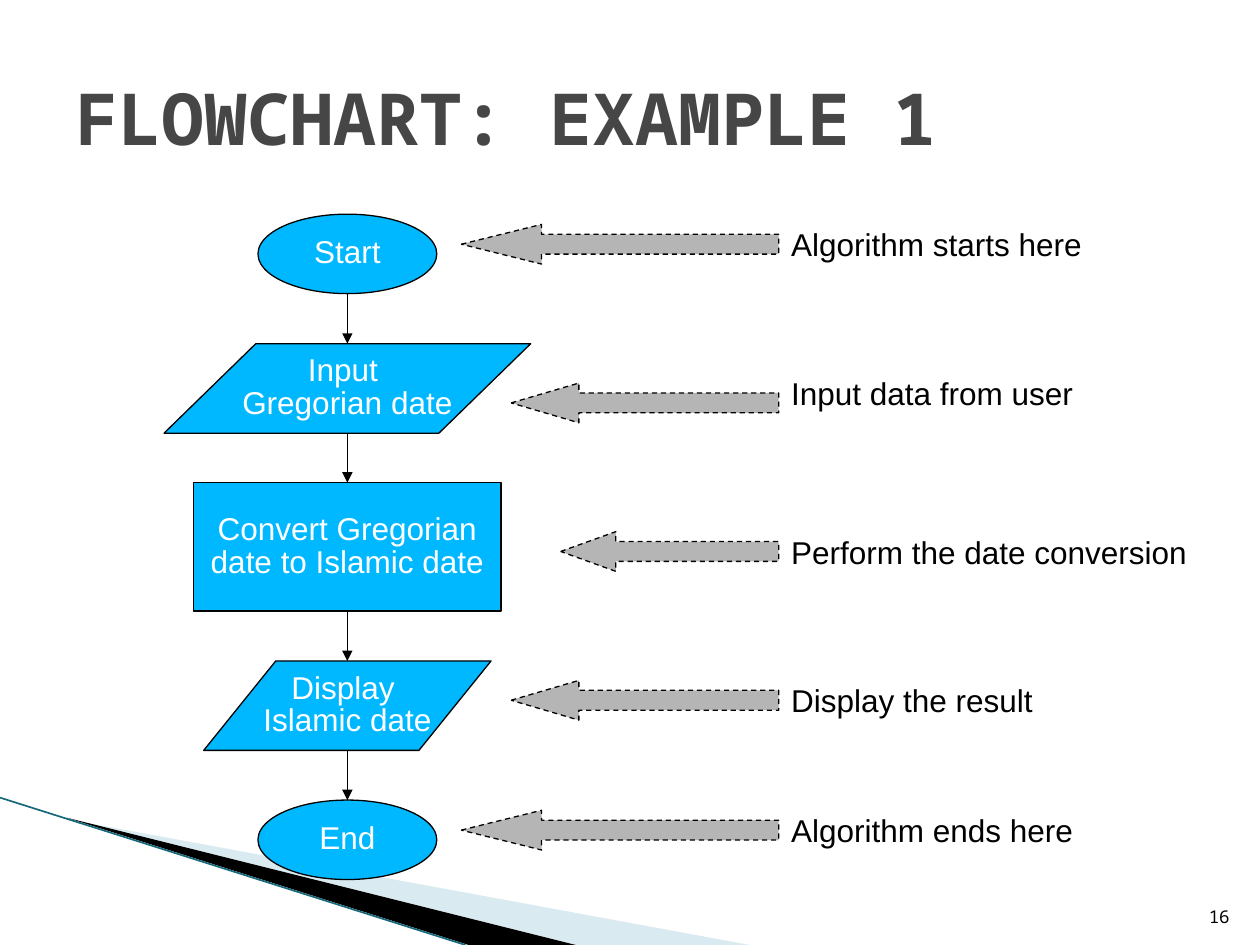
from dataclasses import dataclass
from itertools import pairwise

from lxml import etree
from pptx import Presentation
from pptx.dml.color import RGBColor
from pptx.enum.dml import MSO_LINE
from pptx.enum.shapes import MSO_CONNECTOR, MSO_SHAPE
from pptx.enum.text import MSO_ANCHOR, MSO_AUTO_SIZE, PP_ALIGN
from pptx.oxml.ns import qn
from pptx.util import Pt

BLACK = RGBColor(0x00, 0x00, 0x00)
WHITE = RGBColor(0xFF, 0xFF, 0xFF)
BLUE = RGBColor(0x00, 0xB8, 0xFF)
GRAY = RGBColor(0xB5, 0xB5, 0xB5)
TITLE_GRAY = RGBColor(0x46, 0x46, 0x46)
PALE_BLUE = RGBColor(0xA0, 0xCB, 0xDC)
TEAL = RGBColor(0x16, 0x69, 0x7A)
BODY_FONT = "Arial"
MONO_FONT = "Noto Sans Mono"
FLOW_CENTER = 198.5
ARROW_RIGHT = 445
ARROW_HEIGHT = 22.7
HEAD_SHARE = 0.253


@dataclass
class Step:
    kind: MSO_SHAPE
    text: str
    top: float
    width: float
    height: float
    slant: float | None = None


@dataclass
class Note:
    text: str
    label_top: float
    arrow_top: float
    arrow_length: float
    label_width: float = 184


STEPS = [
    Step(MSO_SHAPE.OVAL, "Start", 122.4, 102.2, 45.4),
    Step(MSO_SHAPE.PARALLELOGRAM, "Input \nGregorian date", 196.4, 209.5, 51.1, 1.026),
    Step(MSO_SHAPE.RECTANGLE, "Convert Gregorian\ndate to Islamic date", 275.8, 175.7, 73.4),
    Step(MSO_SHAPE.PARALLELOGRAM, "Display \nIslamic date", 377.7, 164.2, 51.1, 0.806),
    Step(MSO_SHAPE.OVAL, "End", 457.2, 102.2, 45.4),
]

NOTES = [
    Note("Algorithm starts here", 128.2, 128.2, 181.4),
    Note("Input data from user", 213.1, 218.9, 152.9),
    Note("Perform the date conversion", 303.8, 303.8, 124.6, 254.9),
    Note("Display the result", 388.8, 388.8, 152.9),
    Note("Algorithm ends here", 463, 463, 181.4),
]


def style_text(frame, text: str, size: float, font: str, color: RGBColor,
               align: PP_ALIGN, spacing: float | None = None, bold: bool = False) -> None:
    frame.text = text
    for paragraph in frame.paragraphs:
        paragraph.alignment = align
        paragraph.line_spacing = spacing
        for run in paragraph.runs:
            run.font.size = Pt(size)
            run.font.name = font
            run.font.bold = bold
            run.font.color.rgb = color


def style_shape(shape, fill: RGBColor) -> None:
    shape.shadow.inherit = False
    shape.fill.solid()
    shape.fill.fore_color.rgb = fill
    shape.line.color.rgb = BLACK
    shape.line.width = Pt(0.75)


def add_wedge(slide, points: list[tuple[float, float]], color: RGBColor,
              alpha: int | None = None) -> None:
    corners = [(Pt(x), Pt(y)) for x, y in points]
    builder = slide.shapes.build_freeform(*corners[0])
    builder.add_line_segments(corners[1:], close=True)
    wedge = builder.convert_to_shape()
    style_shape(wedge, color)
    wedge.line.fill.background()
    if alpha is not None:
        fill_color = wedge.fill._xPr.find(qn("a:solidFill"))[0]
        etree.SubElement(fill_color, qn("a:alpha"), val=str(alpha * 1000))


def add_line(slide, start: tuple[float, float], end: tuple[float, float],
             color: RGBColor, width: float, arrow: bool = False) -> None:
    line = slide.shapes.add_connector(
        MSO_CONNECTOR.STRAIGHT, *(Pt(value) for value in start + end))
    line.line.color.rgb = color
    line.line.width = Pt(width)
    if arrow:
        etree.SubElement(line.line._get_or_add_ln(), qn("a:tailEnd"), type="triangle")
    etree.SubElement(line._element.spPr, qn("a:effectLst"))


def add_step(slide, step: Step) -> None:
    shape = slide.shapes.add_shape(
        step.kind, Pt(FLOW_CENTER - step.width / 2), Pt(step.top),
        Pt(step.width), Pt(step.height))
    if step.slant is not None:
        shape.adjustments[0] = step.slant
    style_shape(shape, BLUE)
    frame = shape.text_frame
    frame.word_wrap = False
    frame.vertical_anchor = MSO_ANCHOR.MIDDLE
    style_text(frame, step.text, 18, BODY_FONT, WHITE, PP_ALIGN.CENTER, 0.87)


def add_note(slide, note: Note) -> None:
    group = slide.shapes.add_group_shape()
    label = group.shapes.add_textbox(
        Pt(ARROW_RIGHT), Pt(note.label_top), Pt(note.label_width), Pt(26))
    label.text_frame.word_wrap = True
    label.text_frame.auto_size = MSO_AUTO_SIZE.SHAPE_TO_FIT_TEXT
    style_text(label.text_frame, note.text, 18, BODY_FONT, BLACK, PP_ALIGN.LEFT, 0.87)
    arrow = group.shapes.add_shape(
        MSO_SHAPE.LEFT_ARROW, Pt(ARROW_RIGHT - note.arrow_length), Pt(note.arrow_top),
        Pt(note.arrow_length), Pt(ARROW_HEIGHT))
    arrow.adjustments[0] = 0.5
    arrow.adjustments[1] = HEAD_SHARE * note.arrow_length / ARROW_HEIGHT
    style_shape(arrow, GRAY)
    arrow.line.dash_style = MSO_LINE.DASH


def add_title(slide, text: str) -> None:
    title = slide.shapes.title
    title.left, title.top, title.width, title.height = Pt(36), Pt(21.6), Pt(648), Pt(90)
    title.text_frame.auto_size = MSO_AUTO_SIZE.NONE
    title.text_frame.vertical_anchor = MSO_ANCHOR.MIDDLE
    style_text(title.text_frame, text, 41, MONO_FONT, TITLE_GRAY, PP_ALIGN.LEFT, bold=True)


def add_page_number(slide, number: str) -> None:
    box = slide.shapes.add_textbox(Pt(681), Pt(504.7), Pt(28.8), Pt(28.8))
    box.text_frame.vertical_anchor = MSO_ANCHOR.BOTTOM
    box.text_frame.word_wrap = True
    style_text(box.text_frame, number, 10, MONO_FONT, BLACK, PP_ALIGN.RIGHT)


def main() -> None:
    presentation = Presentation()
    presentation.slide_width, presentation.slide_height = Pt(720), Pt(540)
    slide = presentation.slides.add_slide(presentation.slide_layouts[5])
    add_wedge(slide, [(39.6, 468.4), (428.4, 540), (328.3, 540)], PALE_BLUE, alpha=40)
    add_wedge(slide, [(38.2, 467.3), (329, 540), (267.8, 540)], BLACK)
    add_line(slide, (0, 455.8), (266, 540), TEAL, 0.95)
    add_page_number(slide, "16")
    add_title(slide, "FLOWCHART: EXAMPLE 1")
    for step in STEPS:
        add_step(slide, step)
    for upper, lower in pairwise(STEPS):
        add_line(slide, (FLOW_CENTER, upper.top + upper.height),
                 (FLOW_CENTER, lower.top), BLACK, 0.75, arrow=True)
    for note in NOTES:
        add_note(slide, note)
    presentation.save("out.pptx")


main()
